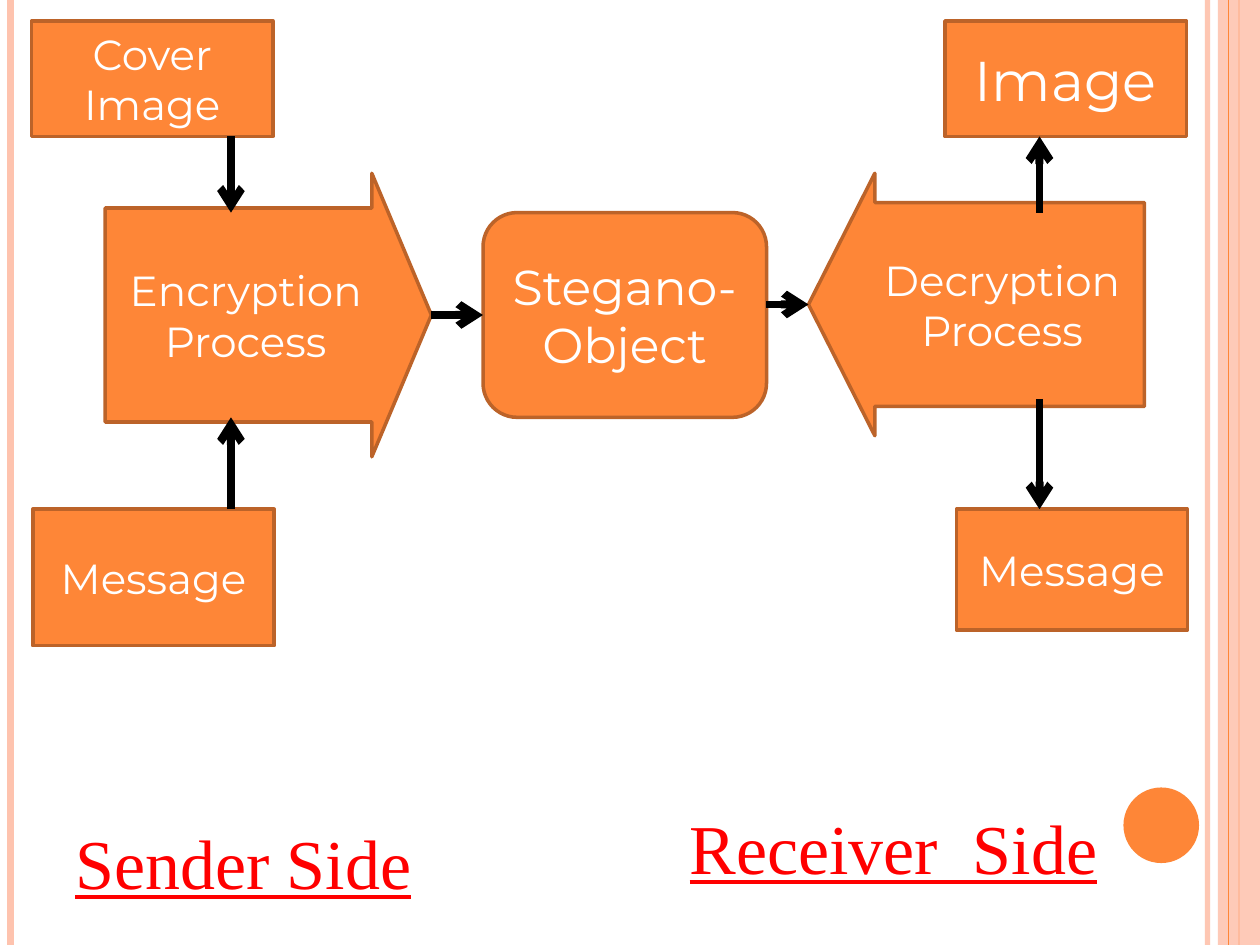
from dataclasses import dataclass

from lxml.etree import SubElement
from pptx import Presentation
from pptx.dml.color import RGBColor
from pptx.enum.shapes import MSO_CONNECTOR, MSO_SHAPE
from pptx.enum.text import MSO_ANCHOR, PP_ALIGN
from pptx.oxml.ns import qn
from pptx.util import Pt


@dataclass(frozen=True)
class Theme:
    orange: str = "FE8637"
    outline: str = "BC6329"
    pink: str = "FEC3AE"
    white: str = "FFFFFF"
    black: str = "000000"
    red: str = "FF0000"
    diagram_font: str = "Montserrat"
    caption_font: str = "Times New Roman"
    label_size: int = 24
    object_size: int = 28
    image_size: int = 32
    caption_size: int = 40
    outline_width: float = 2
    arrow_width: float = 4.5


class DiagramSlide:
    """Holds the theme and the slide, and draws each kind of element."""

    def __init__(self, slide, theme):
        self.slide = slide
        self.theme = theme

    def set_opacity(self, element, percent):
        for color in element.iter(qn("a:srgbClr")):
            SubElement(color, qn("a:alpha")).set("val", str(percent * 1000))

    def set_text(self, text_frame, text, font_name, size, color, underline=None):
        text_frame.text = text
        for paragraph in text_frame.paragraphs:
            for run in paragraph.runs:
                run.font.name = font_name
                run.font.size = Pt(size)
                run.font.color.rgb = RGBColor.from_string(color)
                run.font.underline = underline

    def add_plain(self, kind, box, color, opacity=100):
        shape = self.slide.shapes.add_shape(kind, *map(Pt, box))
        shape.shadow.inherit = False
        shape.fill.solid()
        shape.fill.fore_color.rgb = RGBColor.from_string(color)
        shape.line.fill.background()
        if opacity < 100:
            self.set_opacity(shape._element.spPr, opacity)
        return shape

    def add_node(self, kind, box, text, size, adjustments=()):
        shape = self.add_plain(kind, box, self.theme.orange)
        shape.line.color.rgb = RGBColor.from_string(self.theme.outline)
        shape.line.width = Pt(self.theme.outline_width)
        for index, value in enumerate(adjustments):
            shape.adjustments[index] = value
        text_frame = shape.text_frame
        text_frame.word_wrap = True
        text_frame.vertical_anchor = MSO_ANCHOR.MIDDLE
        self.set_text(text_frame, text, self.theme.diagram_font, size, self.theme.white)
        for paragraph in text_frame.paragraphs:
            paragraph.alignment = PP_ALIGN.CENTER

    def add_line(self, start, end, color, width, opacity=100):
        connector = self.slide.shapes.add_connector(
            MSO_CONNECTOR.STRAIGHT, *map(Pt, (*start, *end))
        )
        connector.line.color.rgb = RGBColor.from_string(color)
        connector.line.width = Pt(width)
        properties = connector._element.spPr
        if opacity < 100:
            self.set_opacity(properties, opacity)
        SubElement(properties, qn("a:effectLst"))
        return connector

    def add_arrow(self, start, end):
        connector = self.add_line(start, end, self.theme.black, self.theme.arrow_width)
        line = connector._element.spPr.find(qn("a:ln"))
        SubElement(line, qn("a:tailEnd")).set("type", "arrow")

    def add_caption(self, box, text):
        text_frame = self.slide.shapes.add_textbox(*map(Pt, box)).text_frame
        text_frame.word_wrap = False
        self.set_text(
            text_frame,
            text,
            self.theme.caption_font,
            self.theme.caption_size,
            self.theme.red,
            underline=True,
        )


def main():
    theme = Theme()
    presentation = Presentation()
    presentation.slide_width = Pt(720)
    presentation.slide_height = Pt(540)
    slide = presentation.slides.add_slide(presentation.slide_layouts[6])
    diagram = DiagramSlide(slide, theme)

    for x, color, width, opacity in (
        (690, theme.pink, 3, 93),
        (6, theme.pink, 4.5, 100),
        (708, theme.orange, 1.5, 100),
    ):
        diagram.add_line((x, 0), (x, 540), color, width, opacity)
    diagram.add_plain(MSO_SHAPE.RECTANGLE, (696, 0, 24, 540), theme.pink, 87)
    diagram.add_line((702, 0), (702, 540), theme.orange, 0.75)
    diagram.add_plain(MSO_SHAPE.OVAL, (642, 450, 43.2, 43.2), theme.orange)

    rectangle = MSO_SHAPE.RECTANGLE
    process = MSO_SHAPE.FLOWCHART_PROCESS
    for kind, box, text, size, adjustments in (
        (MSO_SHAPE.RIGHT_ARROW, (60, 99, 186.5, 162), "Encryption\nProcess",
         theme.label_size, (0.755, 0.21)),
        (MSO_SHAPE.FLOWCHART_ALTERNATE_PROCESS, (276, 121.5, 162, 117),
         "Stegano-Object", theme.object_size, ()),
        (rectangle, (18, 12, 138, 66), "Cover Image", theme.label_size, ()),
        (rectangle, (18.75, 291, 138, 78), "Message", theme.label_size, ()),
        (MSO_SHAPE.LEFT_ARROW, (462, 99, 192, 150), "Decryption\nProcess",
         theme.label_size, (0.776, 0.253)),
        (process, (546.5, 291, 132, 69), "Message", theme.label_size, ()),
        (process, (540, 12, 138, 66), "Image", theme.image_size, ()),
    ):
        diagram.add_node(kind, box, text, size, adjustments)

    sender_x, receiver_x = 132, 594
    for start, end in (
        ((sender_x, 78), (sender_x, 121.5)),
        ((sender_x, 291), (sender_x, 238.5)),
        ((246.5, 180), (276, 180)),
        ((438, 174), (462, 174)),
        ((receiver_x, 121.5), (receiver_x, 78)),
        ((receiver_x, 228), (receiver_x, 291)),
    ):
        diagram.add_arrow(start, end)

    diagram.add_caption((36, 464.5, 209, 55.5), "Sender Side")
    diagram.add_caption((387, 456, 249, 55.5), "Receiver  Side")
    presentation.save("out.pptx")


if __name__ == "__main__":
    main()
